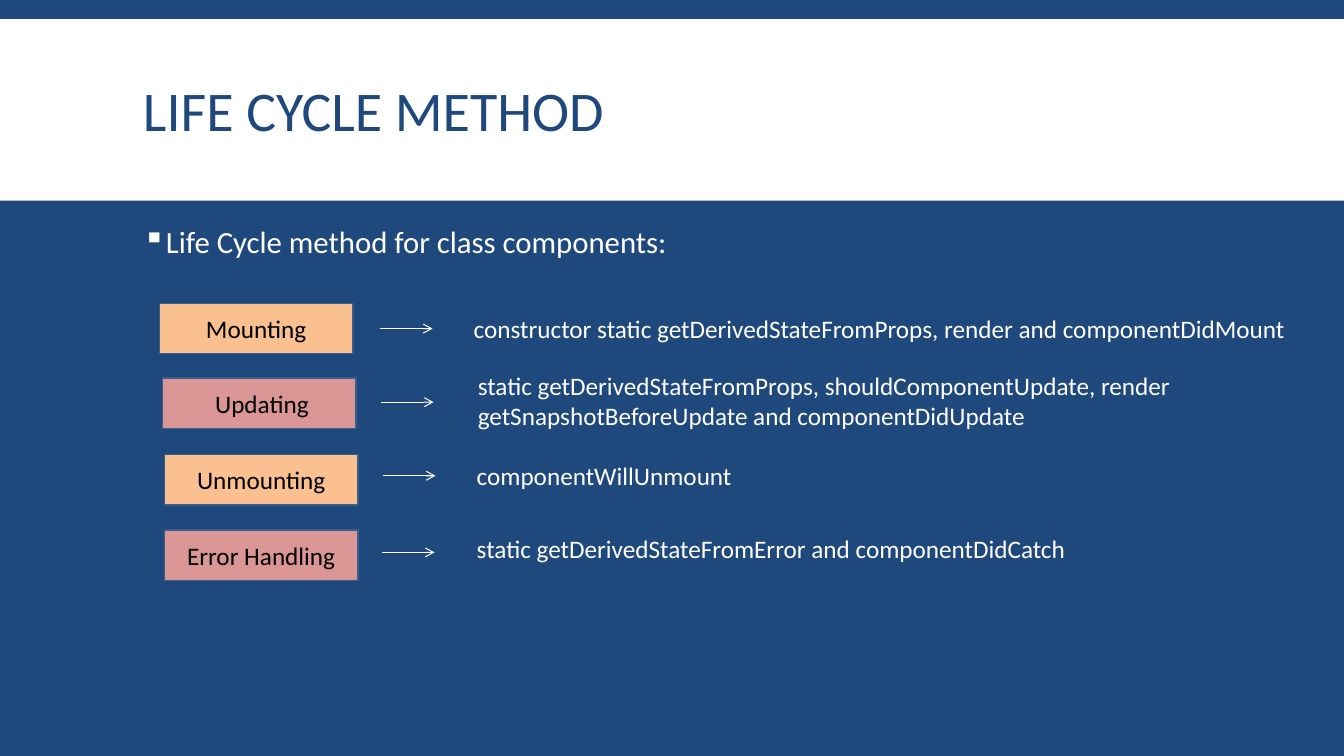
from lxml import etree
from pptx import Presentation
from pptx import util as u
from pptx.dml.color import RGBColor
from pptx.enum import shapes, text
from pptx.oxml.ns import qn

COLORS = {
    "navy": "1F497D",
    "white": "FFFFFF",
    "black": "000000",
    "orange": "FAC090",
    "rose": "D99694",
    "border": "3A5F8C",
}

# Label, fill, box (left, top), arrow (left, y), note (left, top, width, height), note lines
PHASES = [
    ("Mounting", "orange", (1.58, 3.01), (3.77, 3.26), (4.6, 3.06, 8.56, 0.4),
     ["constructor static getDerivedStateFromProps, render and componentDidMount"]),
    (" Updating", "rose", (1.61, 3.75), (3.78, 3.99), (4.64, 3.62, 7.38, 0.71),
     ["static getDerivedStateFromProps, shouldComponentUpdate, render",
      "getSnapshotBeforeUpdate and componentDidUpdate"]),
    ("Unmounting", "orange", (1.63, 4.51), (3.8, 4.72), (4.63, 4.52, 2.8, 0.4),
     ["componentWillUnmount"]),
    ("Error Handling", "rose", (1.63, 5.26), (3.79, 5.48), (4.63, 5.24, 6.35, 0.4),
     ["static getDerivedStateFromError and componentDidCatch"]),
]
BOX_SIZE = (1.92, 0.5)
ARROW_LENGTH = 0.52


def rgb(name):
    return RGBColor.from_string(COLORS[name])


def write(frame, lines, size=18, color="white", font="Calibri", align=text.PP_ALIGN.LEFT,
          anchor=text.MSO_ANCHOR.TOP, wrap=True, spacing=None):
    """Fill a text frame with one paragraph per line."""
    frame.word_wrap = wrap
    frame.vertical_anchor = anchor
    for index, line in enumerate(lines):
        paragraph = frame.add_paragraph() if index else frame.paragraphs[0]
        paragraph.alignment = align
        paragraph.line_spacing = spacing
        run = paragraph.add_run()
        run.text = line
        run.font.name = font
        run.font.size = u.Pt(size)
        run.font.color.rgb = rgb(color)


class SlideBuilder:
    def __init__(self, slide):
        self.slide = slide
        self.slide.background.fill.solid()
        self.slide.background.fill.fore_color.rgb = rgb("navy")

    def rectangle(self, left, top, width, height, fill, border=None):
        shape = self.slide.shapes.add_shape(
            shapes.MSO_SHAPE.RECTANGLE, *map(u.Inches, (left, top, width, height)))
        shape.shadow.inherit = False
        shape.fill.solid()
        shape.fill.fore_color.rgb = rgb(fill)
        if border:
            shape.line.color.rgb = rgb(border)
            shape.line.width = u.Pt(1)
        else:
            shape.line.fill.background()
        return shape

    def label_box(self, left, top, label, fill):
        shape = self.rectangle(left, top, *BOX_SIZE, fill, border="border")
        write(shape.text_frame, [label], color="black",
              align=text.PP_ALIGN.CENTER, anchor=text.MSO_ANCHOR.MIDDLE)

    def text_box(self, area, lines, **style):
        shape = self.slide.shapes.add_textbox(*map(u.Inches, area))
        write(shape.text_frame, lines, **style)
        return shape

    def bullet_box(self, area, lines, **style):
        shape = self.text_box(area, lines, **style)
        for paragraph in shape.text_frame.paragraphs:
            paragraph.space_before = u.Pt(12)
            paragraph.space_after = u.Pt(2)
            properties = paragraph._p.get_or_add_pPr()
            properties.set("marL", str(u.Inches(0.2)))
            properties.set("indent", str(-u.Inches(0.2)))
            etree.SubElement(properties, qn("a:buChar"), char="▪")

    def arrow(self, left, y, length):
        connector = self.slide.shapes.add_connector(
            shapes.MSO_CONNECTOR.STRAIGHT, *map(u.Inches, (left, y, left + length, y)))
        connector.line.color.rgb = rgb("white")
        connector.line.width = u.Pt(0.75)
        etree.SubElement(connector.line._get_or_add_ln(), qn("a:tailEnd"), type="arrow")
        etree.SubElement(connector._element.spPr, qn("a:effectLst"))


def main():
    presentation = Presentation()
    presentation.slide_width = u.Inches(13.33)
    presentation.slide_height = u.Inches(7.5)
    builder = SlideBuilder(presentation.slides.add_slide(presentation.slide_layouts[6]))

    # Title band
    builder.rectangle(0, 0.19, 13.33, 1.8, "white")
    builder.text_box((1.32, 0.31, 10.7, 1.65), ["LIFE CYCLE METHOD"], size=40, color="navy",
                     anchor=text.MSO_ANCHOR.MIDDLE, spacing=0.85)

    # Introduction
    builder.bullet_box((1.32, 2.2, 10.7, 4.6), ["Life Cycle method for class components:"],
                       size=22, spacing=0.9)

    # Phases with their methods
    for label, fill, box, arrow, note_area, note in PHASES:
        builder.label_box(*box, label, fill)
        builder.arrow(*arrow, ARROW_LENGTH)
        builder.text_box(note_area, note, wrap=False)

    presentation.save("out.pptx")


if __name__ == "__main__":
    main()
